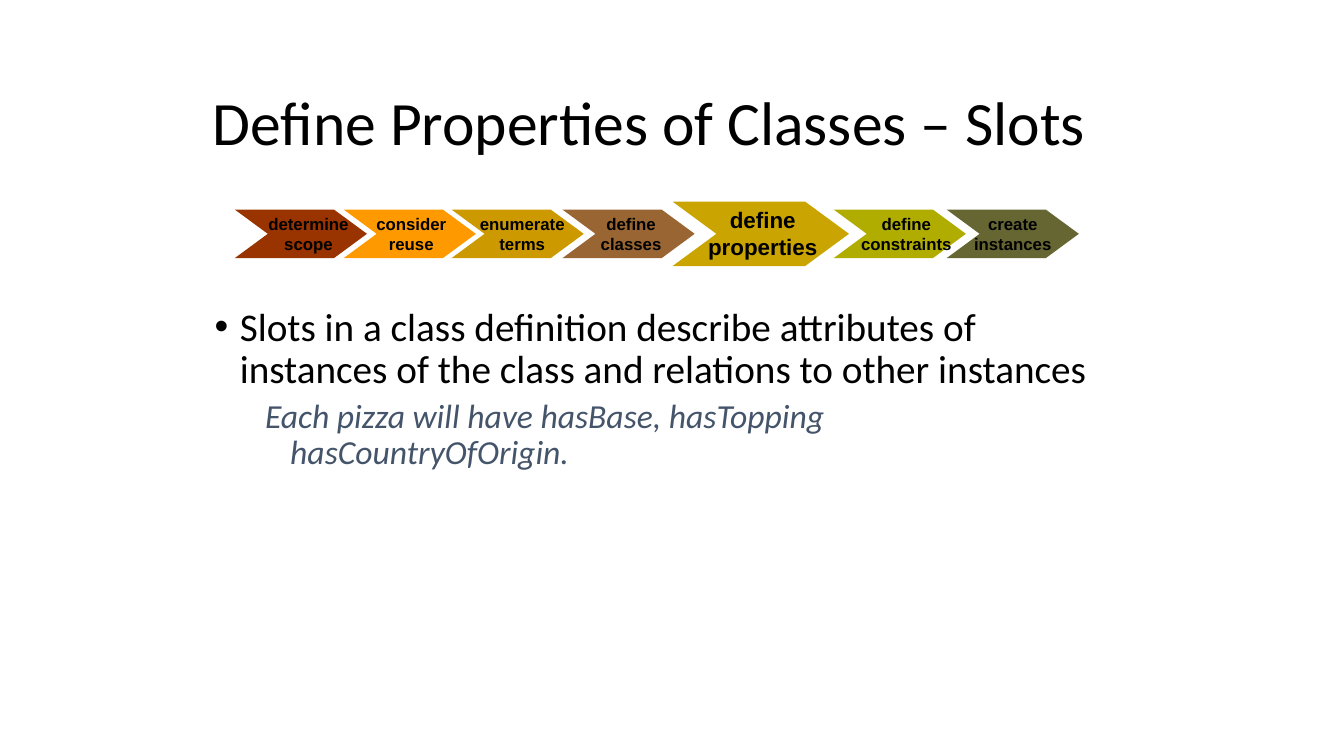
from lxml import etree
from pptx import Presentation
from pptx import util as u
from pptx.dml.color import RGBColor
from pptx.enum import shapes, text
from pptx.oxml.ns import qn

INK = {
    "black": "000000", "slate": "44546A", "rust": "993300", "orange": "FF9900",
    "amber": "CC9900", "brown": "996633", "gold": "CAA400", "lime": "B0AC00",
    "olive": "666633",
}

deck = Presentation()
deck.slide_width, deck.slide_height = u.Inches(13.33), u.Inches(7.5)
slide = deck.slides.add_slide(deck.slide_layouts[6])


def add_box(left, top, width, height, words, **frame):
    box = slide.shapes.add_textbox(*map(u.Inches, (left, top, width, height)))
    box.text_frame.text = words
    for key, value in frame.items():
        setattr(box.text_frame, key, value)
    return box.text_frame.paragraphs


def style(para, ink, face, size, para_form=None, **form):
    for key, value in (para_form or {}).items():
        setattr(para, key, value)
    for run in para.runs:
        for key, value in dict(form, name=face, size=u.Pt(size)).items():
            setattr(run.font, key, value)
        run.font.color.rgb = RGBColor.from_string(INK[ink])


# Title
title = add_box(2.01, 0.86, 9.45, 0.77, "Define Properties of Classes – Slots",
                word_wrap=True, vertical_anchor=text.MSO_ANCHOR.MIDDLE)
style(title[0], "black", "Calibri", 44, {"line_spacing": 0.9})

# Body: bullet and indented example
point, example = add_box(
    2.03, 3, 8.98, 3.62,
    "Slots in a class definition describe attributes of instances of the class "
    "and relations to other instances\n"
    "Each pizza will have hasBase, hasTopping hasCountryOfOrigin.",
    word_wrap=True)
style(point, "black", "Calibri", 28, {"line_spacing": 0.9})
style(example, "slate", "Calibri", 24,
      {"line_spacing": 0.9, "space_before": u.Pt(5), "level": 1}, italic=True)
for para, margin in ((point, 0.25), (example, 0.75)):
    props = para._p.get_or_add_pPr()
    props.set("marL", str(u.Inches(margin)))
    props.set("indent", str(u.Inches(-0.25)))
etree.SubElement(point._p.pPr, qn("a:buFont")).set("typeface", "Arial")
etree.SubElement(point._p.pPr, qn("a:buChar")).set("char", "•")
etree.SubElement(example._p.pPr, qn("a:buNone"))

# Process steps, back to front: left, fill, label, label left, label width
small = (2.08, 1.31, 0.48, 2.07, 0.5, 12)
large = (2, 1.75, 0.64, 2, 0.64, 16)
steps = [
    (3.41, "orange", "consider\vreuse", 3.63, 0.9, small),
    (2.33, "rust", "determine\vscope", 2.56, 1, small),
    (8.27, "lime", "define\vconstraints", 8.44, 1.1, small),
    (9.39, "olive", "create\vinstances", 9.56, 0.97, small),
    (4.48, "amber", "enumerate\nterms", 4.66, 1.04, small),
    (5.58, "brown", "define\vclasses", 5.86, 0.8, small),
    (6.67, "gold", "define\vproperties", 6.92, 1.29, large),
]
for left, ink, label, start, span, (top, width, height, base, tall, size) in steps:
    step = slide.shapes.add_shape(shapes.MSO_SHAPE.CHEVRON,
                                  *map(u.Inches, (left, top, width, height)))
    step.adjustments[0] = 0.68
    step.shadow.inherit = False
    step.fill.solid()
    step.fill.fore_color.rgb = RGBColor.from_string(INK[ink])
    step.line.fill.background()
    for para in add_box(start, base, span, tall, label, word_wrap=False,
                        auto_size=text.MSO_AUTO_SIZE.SHAPE_TO_FIT_TEXT):
        style(para, "black", "Arial", size,
              {"alignment": text.PP_ALIGN.CENTER}, bold=True)

deck.save("out.pptx")
